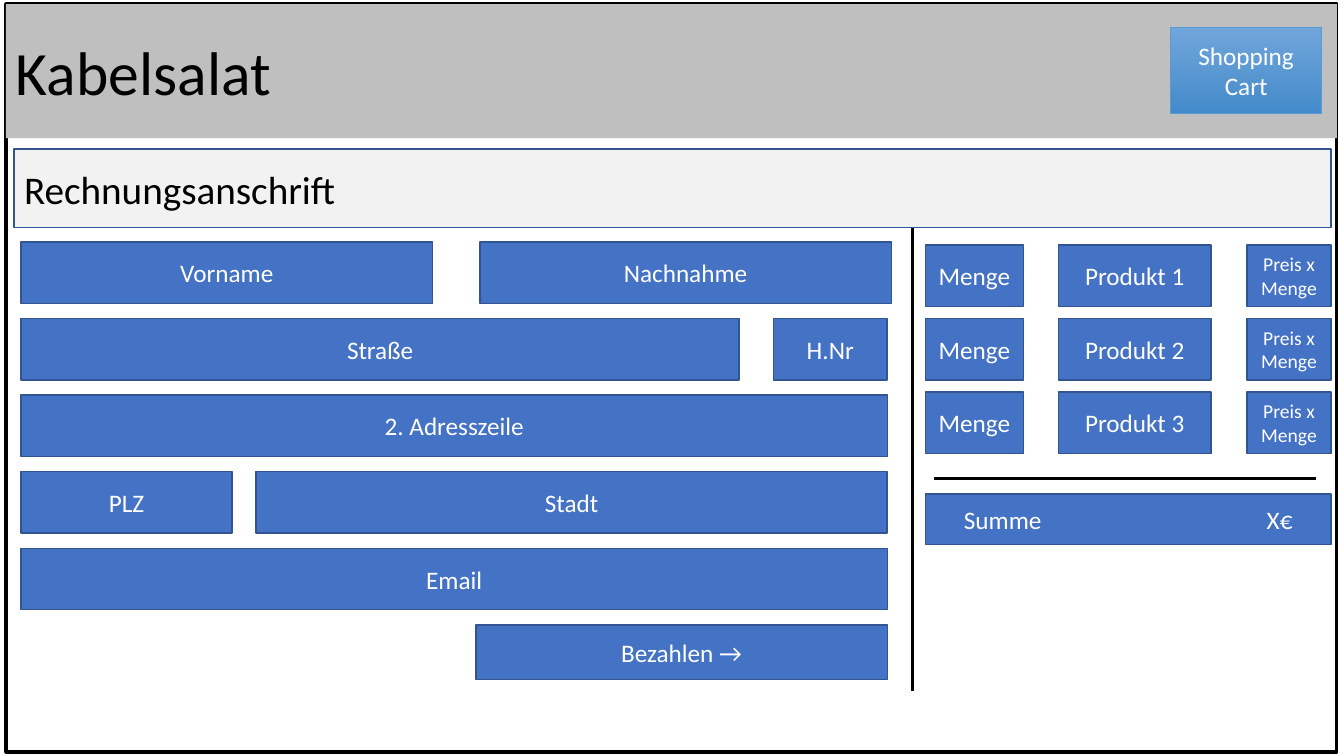
from collections import namedtuple

from lxml import etree
from pptx import Presentation
from pptx.dml.color import RGBColor
from pptx.enum.shapes import MSO_CONNECTOR, MSO_SHAPE
from pptx.enum.text import MSO_ANCHOR, PP_ALIGN
from pptx.oxml.ns import qn
from pptx.util import Inches, Pt

BLACK = RGBColor(0x00, 0x00, 0x00)
WHITE = RGBColor(0xFF, 0xFF, 0xFF)
GREY = RGBColor(0xBF, 0xBF, 0xBF)
PALE = RGBColor(0xF2, 0xF2, 0xF2)
BLUE = RGBColor(0x44, 0x72, 0xC4)
EDGE = RGBColor(0x32, 0x54, 0x91)
CART_EDGE = RGBColor(0x5B, 0x9B, 0xD5)
CART_TOP = RGBColor(0x71, 0xA6, 0xDB)
CART_BOTTOM = RGBColor(0x44, 0x8A, 0xCA)
FONT = "Calibri"
FIELD_HEIGHT = 0.61

Box = namedtuple("Box", "left top width height")


def add_panel(page, box, text="", fill=BLUE, line=EDGE, weight=1, size=18,
              color=WHITE, align=PP_ALIGN.CENTER):
    """Add a rectangle with styled text and return it."""
    panel = page.shapes.add_shape(MSO_SHAPE.RECTANGLE, *map(Inches, box))
    panel.shadow.inherit = False
    if fill is None:
        panel.fill.background()
    else:
        panel.fill.solid()
        panel.fill.fore_color.rgb = fill
    if line is None:
        panel.line.fill.background()
    else:
        panel.line.color.rgb = line
        panel.line.width = Pt(weight)
    frame = panel.text_frame
    frame.word_wrap = True
    frame.vertical_anchor = MSO_ANCHOR.MIDDLE
    frame.text = text
    para = frame.paragraphs[0]
    para.alignment = align
    for span in para.runs:
        span.font.name = FONT
        span.font.size = Pt(size)
        span.font.color.rgb = color
    return panel


def add_rule(page, *ends):
    """Add a black straight line between two points."""
    rule = page.shapes.add_connector(MSO_CONNECTOR.STRAIGHT, *map(Inches, ends))
    rule.line.color.rgb = BLACK
    rule.line.width = Pt(2.25)
    etree.SubElement(rule._element.spPr, qn("a:effectLst"))


def add_header(page, box):
    """Build the shop banner with its cart button."""
    add_panel(page, box, "Kabelsalat", GREY, None, size=44, color=BLACK,
              align=PP_ALIGN.LEFT)
    cart_box = Box(box.left + box.width - 1.65, box.top + 0.23, 1.5, 0.86)
    cart = add_panel(page, cart_box, "Shopping Cart", line=CART_EDGE, weight=0.5)
    cart.fill.gradient()
    cart.fill.gradient_angle = 270
    for stop, color in zip(cart.fill.gradient_stops, (CART_TOP, CART_BOTTOM)):
        stop.color.rgb = color


def add_address_form(page, box):
    """Build the address fields row by row."""
    rows = [
        [("Vorname", 0, 4.08), ("Nachnahme", 4.55, 4.08)],
        [("Straße", 0, 7.12), ("H.Nr", 7.46, 1.13)],
        [("2. Adresszeile", 0, box.width)],
        [("PLZ", 0, 2.09), ("Stadt", 2.33, 6.26)],
        [("Email", 0, box.width)],
    ]
    pitch = (box.height - 0.54) / len(rows)
    for index, fields in enumerate(rows):
        for label, offset, width in fields:
            top = box.top + index * pitch
            add_panel(page, Box(box.left + offset, top, width, FIELD_HEIGHT), label)
    pay_box = Box(box.left + box.width - 4.08, box.top + box.height - 0.54, 4.08, 0.54)
    add_panel(page, pay_box, "Bezahlen →")


def add_order_summary(page, box):
    """Build the product rows and the total."""
    for index in range(3):
        cells = [("Menge", 0, 0.97, 18), (f"Produkt {index + 1}", 1.32, 1.51, 18),
                 ("Preis x Menge", 3.19, 0.83, 14)]
        for label, offset, width, size in cells:
            cell = Box(box.left + offset, box.top + index * 0.73, width, FIELD_HEIGHT)
            add_panel(page, cell, label, size=size)
    rule_top = box.top + 2.32
    add_rule(page, box.left + 0.08, rule_top, box.left + 3.87, rule_top)
    total_box = Box(box.left, box.top + box.height - 0.5, box.width, 0.5)
    total = add_panel(page, total_box, "Summe\tX€", align=PP_ALIGN.LEFT)
    margin = 0.38
    total.text_frame.margin_left = total.text_frame.margin_right = Inches(margin)
    properties = total.text_frame.paragraphs[0]._p.get_or_add_pPr()
    tabs = etree.SubElement(properties, qn("a:tabLst"))
    position = Inches(box.width - 2 * margin)
    etree.SubElement(tabs, qn("a:tab"), pos=str(position), algn="r")


def build_checkout(page, box):
    """Build the billing address page of the shop."""
    add_panel(page, box, fill=None, line=BLACK, weight=2.25)
    add_header(page, Box(box.left, box.top, box.width, 1.33))
    divider = box.left + 8.99
    add_rule(page, divider, box.top + 2.22, divider, box.top + 6.82)
    add_order_summary(page, Box(box.left + 9.12, box.top + 2.39, 4.02, 2.97))
    title_box = Box(box.left + 0.08, box.top + 1.44, 13.06, 0.78)
    add_panel(page, title_box, "Rechnungsanschrift", PALE, size=28, color=BLACK,
              align=PP_ALIGN.LEFT)
    add_address_form(page, Box(box.left + 0.15, box.top + 2.36, 8.59, 4.34))


deck = Presentation()
deck.slide_width, deck.slide_height = Inches(13.33), Inches(7.5)
build_checkout(deck.slides.add_slide(deck.slide_layouts[6]), Box(0.06, 0.04, 13.2, 7.42))
deck.save("out.pptx")
